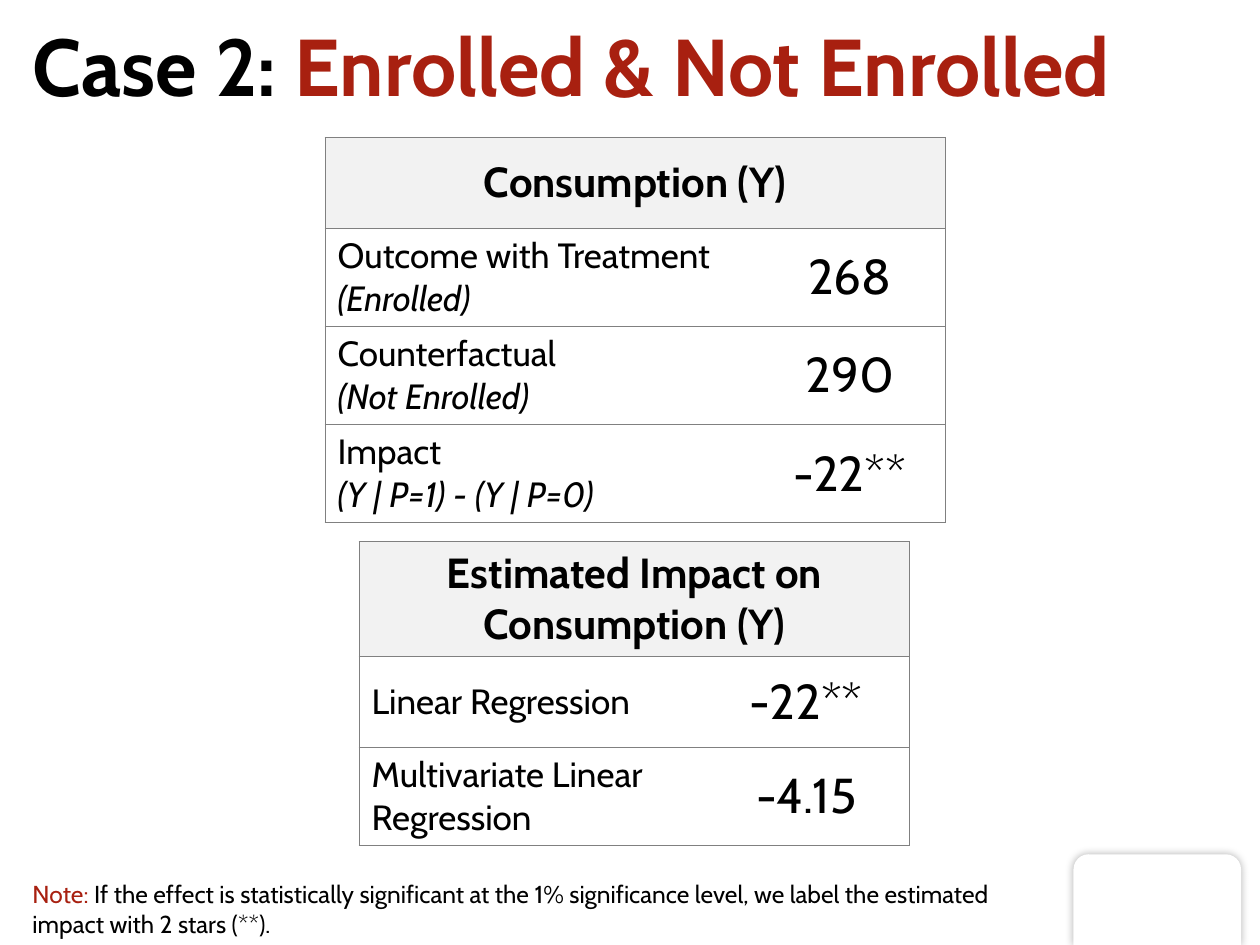
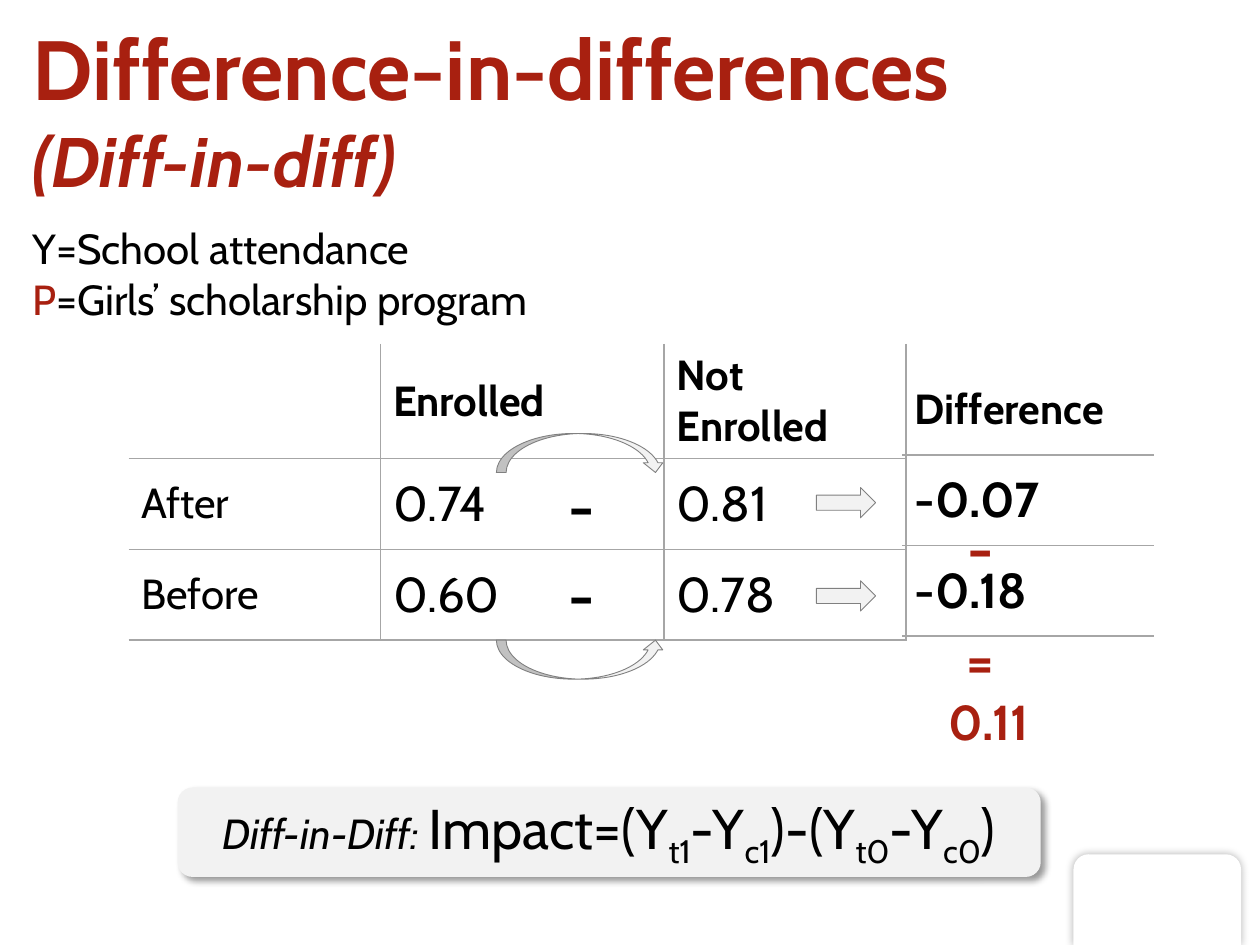
from lxml import etree
from pptx import Presentation
from pptx.dml.color import RGBColor
from pptx.enum.shapes import MSO_SHAPE as Preset
from pptx.enum.text import MSO_ANCHOR as Anchor, MSO_AUTO_SIZE as AutoSize, PP_ALIGN as Align
from pptx.oxml.ns import qn
from pptx.util import Inches, Pt

COLORS = {"black": "000000", "red": "A82010", "white": "FFFFFF",
          "pale": "F2F2F2", "gray": "808080", "rule": "A6A6A6"}
FONT = "Cabin"
PLAIN_TABLE_STYLE = "{2D5ABB26-0587-4C30-8999-92F81FD0307C}"
RED = {"color": "red"}
BOLD = {"bold": True}
ITALIC = {"italic": True}
SUBSCRIPT = {"baseline": -25000}


def rgb(name):
    return RGBColor.from_string(COLORS[name])


def add_xml(parent, tag, **attributes):
    element = etree.SubElement(parent, qn(tag))
    for name, value in attributes.items():
        element.set(name, str(value))
    return element


def entry(text, sides, align=Align.LEFT, fill=None, **look):
    """Describe a table cell; text is a string or a list of paragraphs of spans."""
    paragraphs = [[(text, {})]] if isinstance(text, str) else text
    return {"paragraphs": paragraphs, "sides": sides, "align": align,
            "fill": fill, "look": look}


class SlideBuilder:
    def __init__(self, deck):
        self.deck = deck
        self.page = None

    def new_page(self, *title_spans):
        self.page = self.deck.slides.add_slide(self.deck.slide_layouts[5])
        self.shape(Preset.ROUND_2_SAME_RECTANGLE, (8.52, 6.78, 1.33, 0.72),
                   fill="white", shadow=(30, 5, 0, 0))
        title = self.page.shapes.title
        title.left, title.top, title.width, title.height = map(Inches, (0.16, 0.08, 9.69, 0.94))
        title.text_frame.auto_size = AutoSize.NONE
        title.text_frame.vertical_anchor = Anchor.TOP
        self.set_text(title.text_frame, [title_spans], {"size": 46, "bold": True})

    def set_text(self, frame, paragraphs, base=None, align=Align.LEFT):
        """Fill a frame; each paragraph is a list of (text, format) spans."""
        for index, spans in enumerate(paragraphs):
            para = frame.paragraphs[0] if index == 0 else frame.add_paragraph()
            para.alignment = align
            for text, extra in spans:
                if text == "\n":
                    para.add_line_break()
                    continue
                look = {"size": 24, "color": "black", **(base or {}), **extra}
                span = para.add_run()
                span.text = text
                span.font.name = FONT
                span.font.size = Pt(look.pop("size"))
                span.font.color.rgb = rgb(look.pop("color"))
                if "baseline" in look:
                    span._r.get_or_add_rPr().set("baseline", str(look.pop("baseline")))
                for name, value in look.items():
                    setattr(span.font, name, value)

    def text(self, place, paragraphs, base=None, wrap=True, align=Align.LEFT, anchor=Anchor.TOP):
        frame = self.page.shapes.add_textbox(*map(Inches, place)).text_frame
        frame.word_wrap = wrap
        frame.auto_size = AutoSize.SHAPE_TO_FIT_TEXT
        frame.vertical_anchor = anchor
        self.set_text(frame, paragraphs, base, align)

    def sign(self, place, symbol, align=Align.CENTER, anchor=Anchor.MIDDLE, **look):
        self.text(place, [[(symbol, {**BOLD, **look})]], wrap=False, align=align, anchor=anchor)

    def shape(self, preset, place, fill="pale", line=None, shadow=None):
        """Draw a preset; shadow is (opacity %, blur pt, distance pt, degrees)."""
        shape = self.page.shapes.add_shape(preset, *map(Inches, place))
        shape.shadow.inherit = False
        shape.fill.solid()
        shape.fill.fore_color.rgb = rgb(fill)
        if line:
            shape.line.color.rgb = rgb(line)
            shape.line.width = Pt(0.5)
        else:
            shape.line.fill.background()
        if shadow:
            opacity, blur, distance, degrees = shadow
            effects = shape.element.spPr.find(qn("a:effectLst"))
            outer = add_xml(effects, "a:outerShdw", blurRad=Pt(blur), dist=Pt(distance),
                            dir=degrees * 60000, algn="ctr", rotWithShape=0)
            color = add_xml(outer, "a:srgbClr", val=COLORS["black"])
            add_xml(color, "a:alpha", val=opacity * 1000)
        return shape

    def border(self, cell, sides, color, width):
        for side in sides:
            line = add_xml(cell._tc.get_or_add_tcPr(), f"a:ln{side}", w=Pt(width))
            fill = add_xml(line, "a:solidFill")
            add_xml(fill, "a:srgbClr", val=COLORS[color])

    def table(self, left, top, widths, heights, rows, line):
        frame = self.page.shapes.add_table(
            len(heights), len(widths),
            *map(Inches, (left, top, sum(widths), sum(heights))))
        grid = frame.table
        frame._element.find(".//" + qn("a:tableStyleId")).text = PLAIN_TABLE_STYLE
        for column, width in zip(grid.columns, widths):
            column.width = Inches(width)
        for row, height in zip(grid.rows, heights):
            row.height = Inches(height)
        for r, row in enumerate(rows):
            for c, content in enumerate(row):
                cell = grid.cell(r, c)
                cell.vertical_anchor = Anchor.MIDDLE
                self.border(cell, content["sides"], *line)
                if content["fill"]:
                    cell.fill.solid()
                    cell.fill.fore_color.rgb = rgb(content["fill"])
                else:
                    cell.fill.background()
                self.set_text(cell.text_frame, content["paragraphs"],
                              content["look"], content["align"])
        return grid

    def result_table(self, left, top, widths, heights, heading, results):
        """Boxed table with a shaded heading over label and value columns."""
        rows = [[entry(heading, "LRTB", Align.CENTER, "pale", bold=True),
                 entry([], "LRTB", fill="pale")]]
        for label, value in results:
            rows.append([entry(label, "LTB", size=20),
                         entry(value, "RTB", Align.CENTER, size=28)])
        grid = self.table(left, top, widths, heights, rows, ("gray", 0.5))
        grid.cell(0, 0).merge(grid.cell(0, 1))


def build_case_slide(builder):
    builder.new_page(("Case 2: ", {}), ("Enrolled & Not Enrolled", RED))
    builder.result_table(
        2.58, 1.09, (3.41, 1.51), (0.72, 0.78, 0.78, 0.78), "Consumption (Y)",
        [([[("Outcome with Treatment ", {}), ("(Enrolled)", ITALIC)]], "268"),
         ([[("Counterfactual", {})], [("(Not Enrolled)", ITALIC)]], "290"),
         ([[("Impact", {})], [("(Y | P=1) - (Y | P=0)", ITALIC)]], "-22**")])
    builder.result_table(
        2.85, 4.3, (2.73, 1.64), (0.91, 0.72, 0.78), "Estimated Impact on Consumption (Y)",
        [("Linear Regression", "-22**"), ("Multivariate Linear Regression", "-4.15")])
    note = ("If the effect is statistically significant at the 1% significance level, "
            "we label the estimated impact with 2 stars (**).")
    builder.text((0.16, 6.93, 8.14, 0.57), [[("Note: ", RED), (note, {})]], {"size": 14})


def build_difference_slide(builder):
    builder.new_page(("Difference-in-differences", {"size": 48, **RED}), ("\n", {}),
                     ("(Diff-in-diff)", {"size": 40, **RED, **ITALIC}))

    formula = [("Diff-in-Diff: ", {"size": 24, **ITALIC})]
    for lead, index in (("Impact=(Y", "t1"), ("-Y", "c1"), (")-(Y", "t0"), ("-Y", "c0")):
        formula += [(lead, {}), (index, SUBSCRIPT)]
    formula.append((")", {}))
    panel = builder.shape(Preset.ROUNDED_RECTANGLE, (1.41, 6.25, 6.85, 0.71),
                          shadow=(40, 4, 3, 45))
    panel.text_frame.vertical_anchor = Anchor.MIDDLE
    builder.set_text(panel.text_frame, [formula], {"size": 32}, Align.CENTER)

    builder.text((0.16, 1.72, 5.86, 0.91),
                 [[("Y=School attendance", {})],
                  [("P", RED), ("=Girls’ scholarship program", {})]])

    rule = ("rule", 1)
    rows = [[entry([], "RB"), entry("Enrolled", "RB", bold=True),
             entry("Not Enrolled", "RB", bold=True)]]
    for period, enrolled, others in (("After", "0.74", "0.81"), ("Before", "0.60", "0.78")):
        rows.append([entry(period, "RB"), entry(enrolled, "RB", size=28),
                     entry(others, "RB", size=28)])
    builder.table(1.02, 2.73, (2, 2.25, 1.92), (0.91, 0.72, 0.72), rows, rule)
    gaps = [[entry("Difference", "B", bold=True)]]
    gaps += [[entry(value, "B", size=28, bold=True)] for value in ("-0.07", "-0.18")]
    builder.table(7.16, 2.89, (2,), (0.72,) * 3, gaps, rule)

    builder.sign((7.35, 5.44, 0.99, 0.57), "0.11", anchor=Anchor.TOP, size=28, **RED)
    for top in (3.83, 4.53):
        builder.sign((4.41, top, 0.41, 0.35), "-", align=Align.LEFT, size=36)
    builder.sign((7.58, 3.98, 0.41, 0.71), "-", size=36, **RED)
    builder.sign((7.52, 4.91, 0.52, 0.64), "=", size=32, **RED)

    upper, lower = (builder.shape(Preset.CURVED_DOWN_ARROW, (3.94, top, 1.34, 0.31), line="gray")
                    for top in (3.44, 5.08))
    lower.rotation = 180
    lower.element.spPr.find(qn("a:xfrm")).set("flipH", "1")
    for top in (3.87, 4.61):
        builder.shape(Preset.RIGHT_ARROW, (6.48, top, 0.47, 0.24), line="gray")


def main():
    deck = Presentation()
    deck.slide_width, deck.slide_height = Inches(10), Inches(7.5)
    builder = SlideBuilder(deck)
    build_case_slide(builder)
    build_difference_slide(builder)
    deck.save("out.pptx")


if __name__ == "__main__":
    main()
